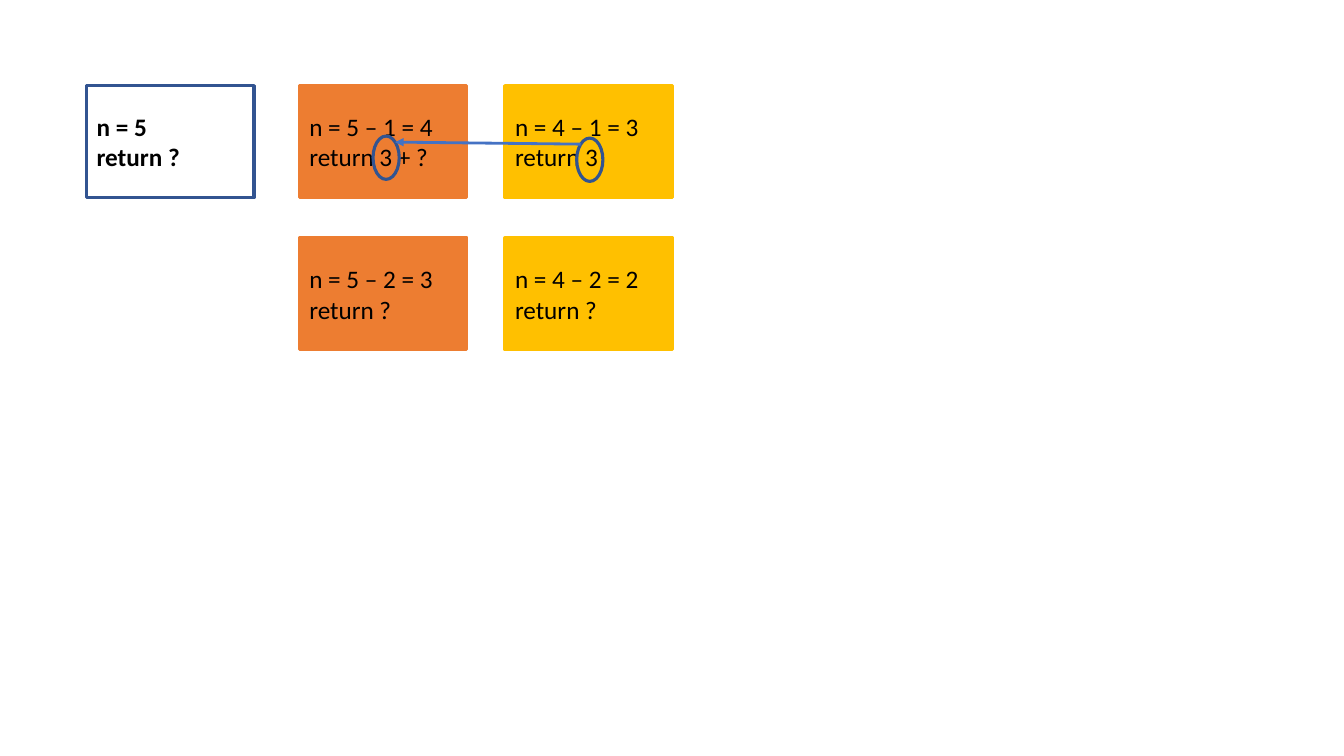
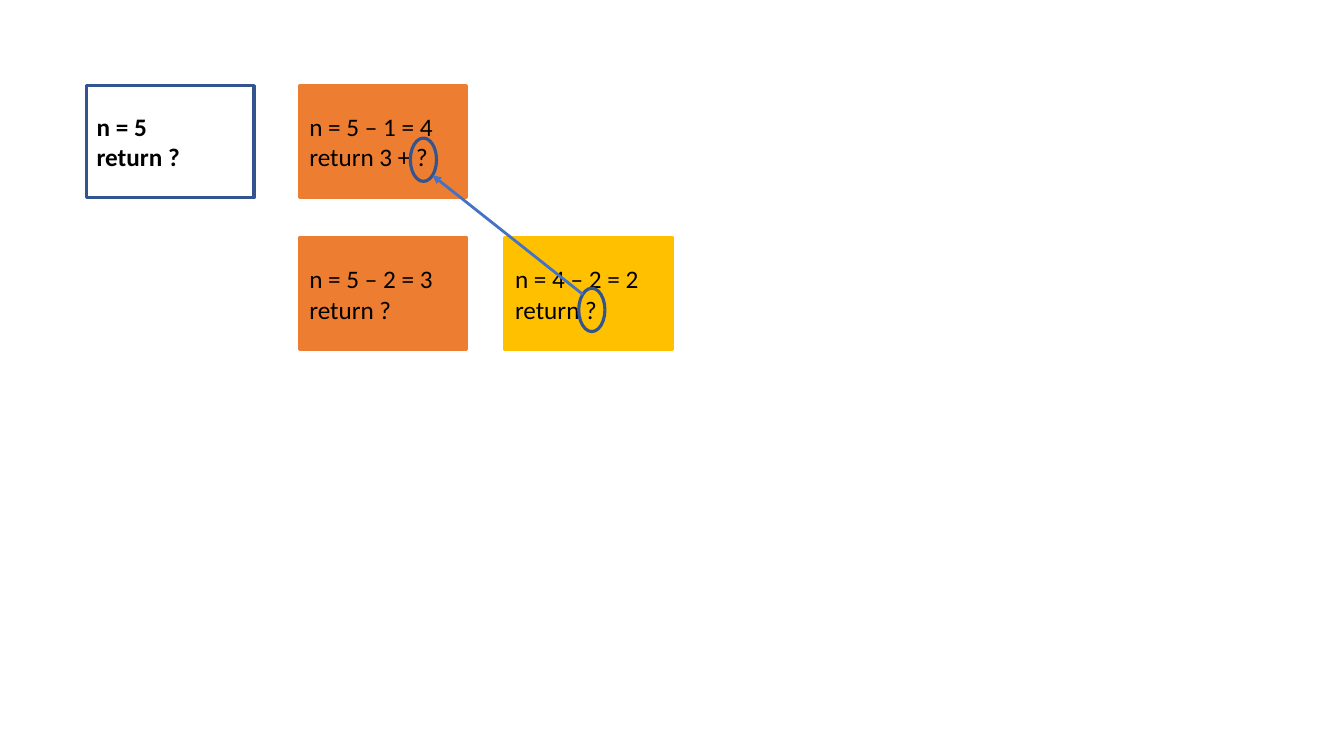
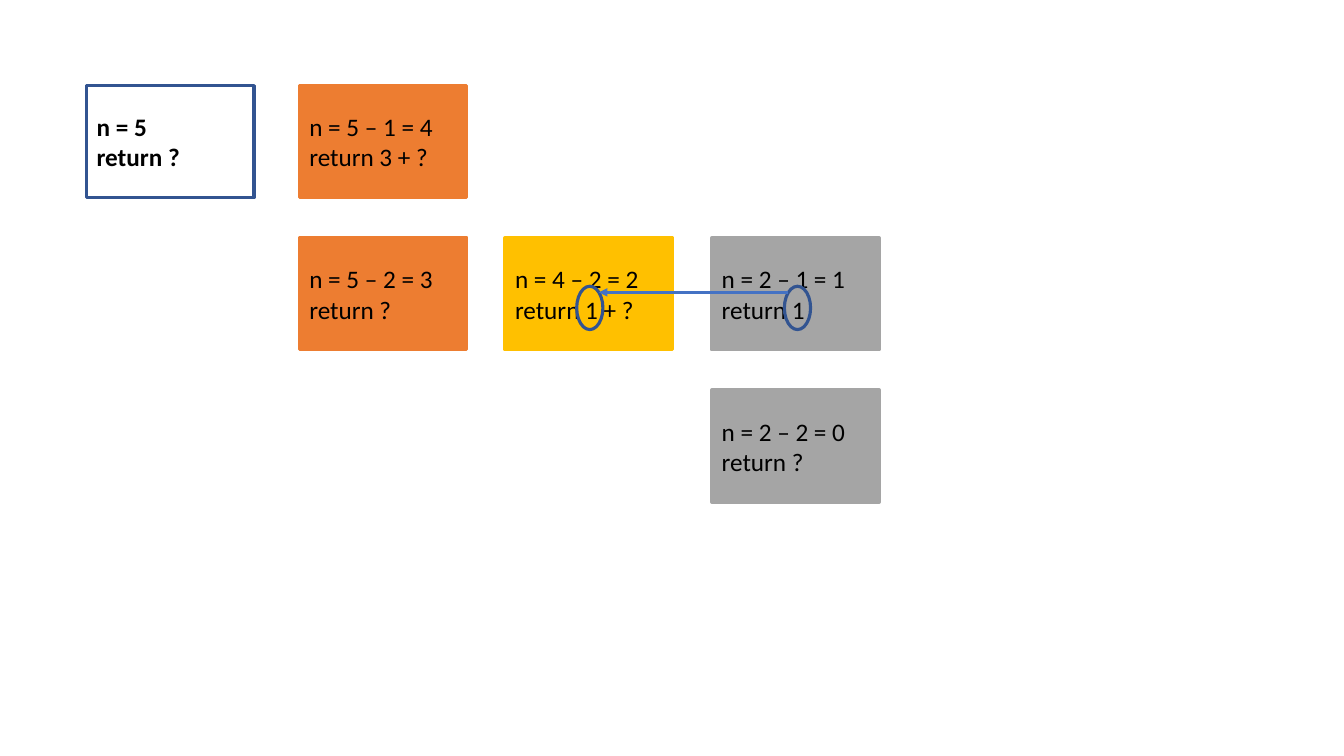
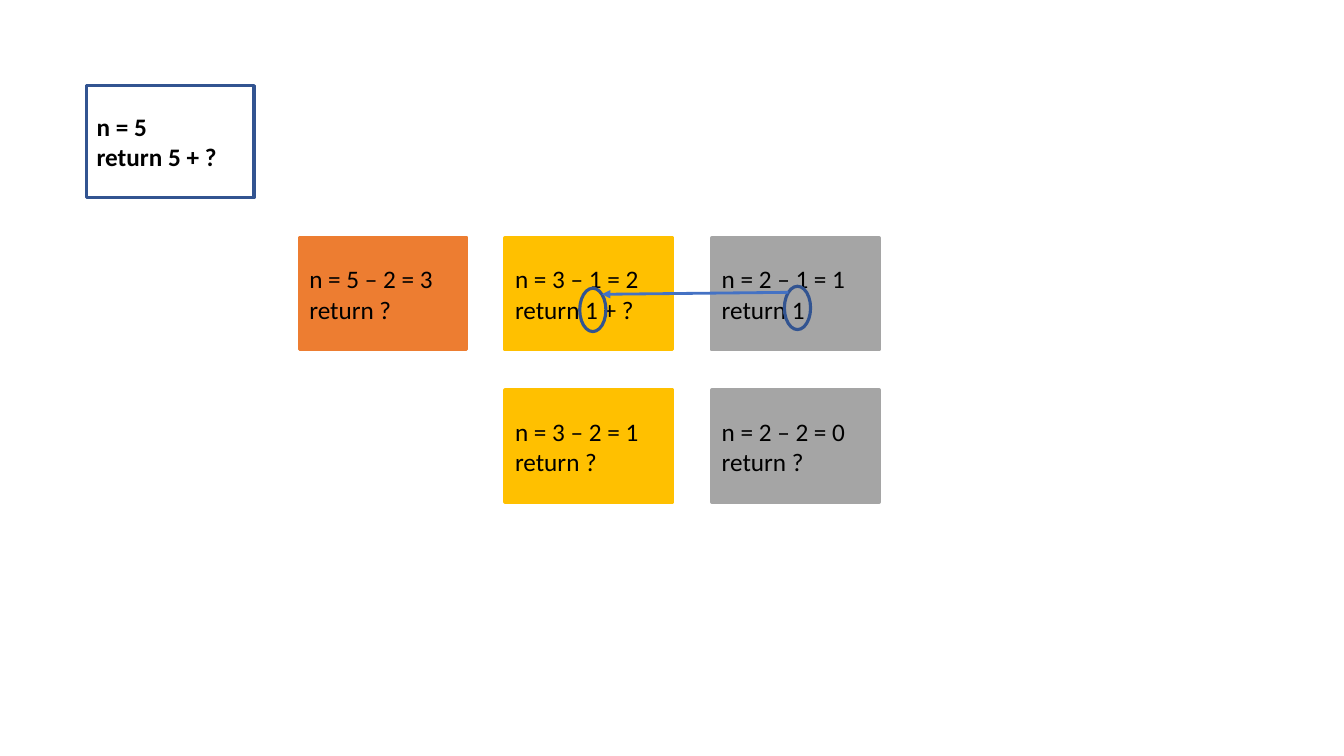
from lxml import etree
from pptx import Presentation
from pptx.dml.color import RGBColor
from pptx.enum.shapes import MSO_CONNECTOR, MSO_SHAPE
from pptx.enum.text import MSO_ANCHOR, PP_ALIGN
from pptx.oxml.ns import qn
from pptx.util import Pt

RECTANGLE, OVAL = MSO_SHAPE.RECTANGLE, MSO_SHAPE.OVAL
STRAIGHT = MSO_CONNECTOR.STRAIGHT
MIDDLE, LEFT = MSO_ANCHOR.MIDDLE, PP_ALIGN.LEFT

PX = 9144
PAGE_WIDTH, PAGE_HEIGHT = 1333, 750
COLUMN_LEFTS = (86, 297, 501, 706)
ROW_TOP, ROW_STEP = 85, 151
CARD_WIDTH, CARD_HEIGHT = 166, 111
RING_WIDTH, RING_HEIGHT = 26, 43
EDGE_X, EDGE_Y = 4, 6

NAVY, BLUE, BLACK = "325491", "4472C4", "000000"
COLUMN_FILLS = (None, "ED7D31", "FFC000", "A5A5A5")
CARD_FONT = {"name": "Calibri", "size": Pt(18)}

START = (0, 0, "n = 5", "return ?")
FIVE_LESS_ONE = (1, 0, "n = 5 – 1 = 4", "return 3 + ?")
FIVE_LESS_TWO = (1, 1, "n = 5 – 2 = 3", "return ?")
FOUR_LESS_TWO = (2, 1, "n = 4 – 2 = 2", "return ?")
TWO_LESS_ONE = (3, 1, "n = 2 – 1 = 1", "return 1")
TWO_LESS_TWO = (3, 2, "n = 2 – 2 = 0", "return ?")

STEPS = (
    {
        "cards": (START, FIVE_LESS_ONE, FIVE_LESS_TWO,
                  (2, 0, "n = 4 – 1 = 3", "return 3"), FOUR_LESS_TWO),
        "target": (1, 0, 73, 50),
        "source": (2, 0, 71, 52),
    },
    {
        "cards": (START, FIVE_LESS_ONE, FIVE_LESS_TWO, FOUR_LESS_TWO),
        "target": (1, 0, 110, 52),
        "source": (2, 1, 73, 50),
    },
    {
        "cards": (START, FIVE_LESS_ONE, FIVE_LESS_TWO,
                  (2, 1, "n = 4 – 2 = 2", "return 1 + ?"),
                  TWO_LESS_ONE, TWO_LESS_TWO),
        "target": (2, 1, 71, 48),
        "source": (3, 1, 72, 48),
    },
    {
        "cards": ((0, 0, "n = 5", "return 5 + ?"), FIVE_LESS_TWO,
                  (2, 1, "n = 3 – 1 = 2", "return 1 + ?"),
                  TWO_LESS_ONE, TWO_LESS_TWO,
                  (2, 2, "n = 3 – 2 = 1", "return ?")),
        "target": (2, 1, 74, 50),
        "source": (3, 1, 72, 48),
    },
)


def emu(*lengths):
    """Turn px lengths into EMU."""
    return [length * PX for length in lengths]


def color(code):
    """Turn a hex string into a colour."""
    return RGBColor.from_string(code)


def set_line(shape, code, width):
    """Give a shape or connector a solid line."""
    shape.line.color.rgb = color(code)
    shape.line.width = Pt(width)


def add_outline(page, kind, box, fill, line, width):
    """Add a preset shape with an optional fill."""
    shape = page.shapes.add_shape(kind, *emu(*box))
    shape.shadow.inherit = False
    if fill:
        shape.fill.solid()
        shape.fill.fore_color.rgb = color(fill)
    else:
        shape.fill.background()
    set_line(shape, line, width)
    return shape


def cell_origin(column, row):
    """Return the left and top of a grid cell."""
    return COLUMN_LEFTS[column], ROW_TOP + row * ROW_STEP


def add_card(page, column, row, *lines):
    """Add one call of the function, styled by its depth."""
    fill = COLUMN_FILLS[column]
    box = (*cell_origin(column, row), CARD_WIDTH, CARD_HEIGHT)
    card = add_outline(page, RECTANGLE, box, fill, fill or NAVY, 2.5)
    frame = card.text_frame
    frame.word_wrap = True
    frame.vertical_anchor = MIDDLE
    frame.text = "\n".join(lines)
    for para in frame.paragraphs:
        para.alignment = LEFT
        for span in para.runs:
            for name, value in {**CARD_FONT, "bold": column == 0}.items():
                setattr(span.font, name, value)
            span.font.color.rgb = color(BLACK)


def add_ring(page, column, row, offset_x, offset_y):
    """Circle a value inside a card and return the ring's corner."""
    card_left, card_top = cell_origin(column, row)
    left, top = card_left + offset_x, card_top + offset_y
    add_outline(page, OVAL, (left, top, RING_WIDTH, RING_HEIGHT), None, NAVY, 2.25)
    return left, top


def add_return_arrow(page, target, source):
    """Join two rings with an arrowhead at the target."""
    target_left, target_top = target
    source_left, source_top = source
    rises = source_top > target_top + RING_HEIGHT
    edge_y = RING_HEIGHT - EDGE_Y if rises else EDGE_Y
    arrow = page.shapes.add_connector(STRAIGHT, *emu(
        target_left + RING_WIDTH - EDGE_X, target_top + edge_y,
        source_left + EDGE_X, source_top + EDGE_Y))
    set_line(arrow, BLUE, 2)
    etree.SubElement(arrow.line._get_or_add_ln(), qn("a:headEnd"), type="triangle")
    etree.SubElement(arrow._element.spPr, qn("a:effectLst"))


def add_step(deck, cards, target, source):
    """Add a slide with the open calls and the value being returned."""
    page = deck.slides.add_slide(deck.slide_layouts[6])
    for card in cards:
        add_card(page, *card)
    add_return_arrow(page, add_ring(page, *target), add_ring(page, *source))


def main():
    """Build and save the deck."""
    deck = Presentation()
    deck.slide_width, deck.slide_height = emu(PAGE_WIDTH, PAGE_HEIGHT)
    for step in STEPS:
        add_step(deck, **step)
    deck.save("out.pptx")


if __name__ == "__main__":
    main()
